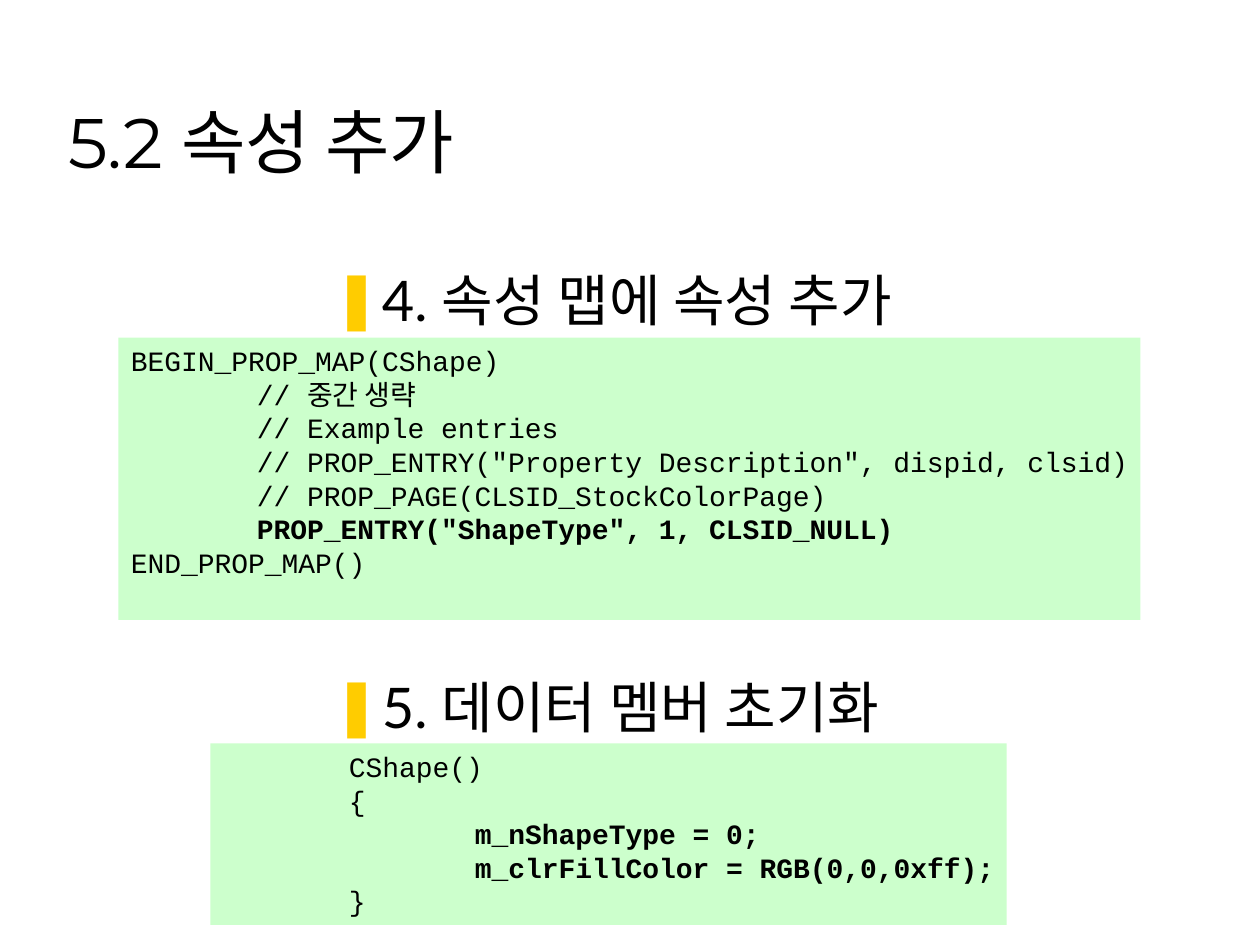
import pptx
import pptx.dml.color
import pptx.enum.shapes
import pptx.enum.text
import pptx.oxml.ns
import pptx.util
from lxml import etree
from pptx.util import Inches

BLACK = pptx.dml.color.RGBColor(0x00, 0x00, 0x00)
CODE_GREEN = pptx.dml.color.RGBColor(0xCC, 0xFF, 0xCC)
BULLET_YELLOW = pptx.dml.color.RGBColor(0xFF, 0xCC, 0x00)

PROPERTY_MAP = [
    ("BEGIN_PROP_MAP(CShape)", False),
    ("\t// 중간 생략", False),
    ("\t// Example entries", False),
    ('\t// PROP_ENTRY("Property Description", dispid, clsid)', False),
    ("\t// PROP_PAGE(CLSID_StockColorPage)", False),
    ('\tPROP_ENTRY("ShapeType", 1, CLSID_NULL)', True),
    ("END_PROP_MAP()", False),
]
CONSTRUCTOR = [
    ("\tCShape()", False),
    ("\t{", False),
    ("\t\tm_nShapeType = 0;", True),
    ("\t\tm_clrFillColor = RGB(0,0,0xff);", True),
    ("\t}", False),
]


def place(shape, left, top, width, height):
    shape.left, shape.top = Inches(left), Inches(top)
    shape.width, shape.height = Inches(width), Inches(height)


def prepare_frame(shape, anchor, wrap=True):
    frame = shape.text_frame
    frame.auto_size = pptx.enum.text.MSO_AUTO_SIZE.NONE
    frame.vertical_anchor = anchor
    frame.word_wrap = wrap
    return frame


def add_child(parent, tag, **attributes):
    child = etree.SubElement(parent, pptx.oxml.ns.qn(tag))
    for name, value in attributes.items():
        child.set(name, str(value))
    return child


def add_bullet(paragraph, left, hanging):
    properties = paragraph._p.get_or_add_pPr()
    properties.set("marL", str(Inches(left)))
    properties.set("indent", str(-Inches(hanging)))
    color = add_child(properties, "a:buClr")
    add_child(color, "a:srgbClr", val=BULLET_YELLOW)
    add_child(properties, "a:buChar", char="❚")


def add_tabs(paragraph, count):
    tabs = add_child(paragraph._p.get_or_add_pPr(), "a:tabLst")
    for inch in range(1, count + 1):
        add_child(tabs, "a:tab", pos=Inches(inch), algn="l")


def add_text(paragraph, text, size, font_name, bold=False):
    paragraph.alignment = pptx.enum.text.PP_ALIGN.LEFT
    run = paragraph.add_run()
    run.text = text
    run.font.size = pptx.util.Pt(size)
    run.font.name = font_name
    run.font.bold = bold
    run.font.color.rgb = BLACK


def fill_title(title, text):
    place(title, 0.44, 0.25, 9.14, 1.25)
    frame = prepare_frame(title, pptx.enum.text.MSO_ANCHOR.BOTTOM)
    add_text(frame.paragraphs[0], text, 40, "Montserrat")


def fill_steps(body, steps, gap):
    place(body, 0.5, 2.06, 8.94, 4.56)
    frame = prepare_frame(body, pptx.enum.text.MSO_ANCHOR.TOP)
    for index, step in enumerate(steps):
        paragraph = frame.add_paragraph() if index else frame.paragraphs[0]
        add_bullet(paragraph, left=2.43, hanging=0.38)
        paragraph.space_before = pptx.util.Pt(gap if index else 0)
        add_text(paragraph, step, 32, "Lato")


def add_code_box(slide, left, top, width, height, lines):
    box = slide.shapes.add_shape(
        pptx.enum.shapes.MSO_SHAPE.RECTANGLE,
        Inches(left), Inches(top), Inches(width), Inches(height))
    box.shadow.inherit = False
    box.fill.solid()
    box.fill.fore_color.rgb = CODE_GREEN
    box.line.fill.background()
    frame = prepare_frame(box, pptx.enum.text.MSO_ANCHOR.TOP, wrap=False)
    for index, (text, bold) in enumerate(lines):
        paragraph = frame.add_paragraph() if index else frame.paragraphs[0]
        add_tabs(paragraph, 7)
        add_text(paragraph, text, 16, "Courier New", bold)


def main():
    presentation = pptx.Presentation()
    presentation.slide_width = Inches(10)
    presentation.slide_height = Inches(7.5)
    slide = presentation.slides.add_slide(presentation.slide_layouts[1])

    # Title and numbered steps
    fill_title(slide.shapes.title, "5.2 속성 추가")
    fill_steps(slide.placeholders[1],
               ["4. 속성 맵에 속성 추가", "5. 데이터 멤버 초기화"], gap=194)

    # Code under each step
    add_code_box(slide, 0.94, 2.68, 8.11, 2.24, PROPERTY_MAP)
    add_code_box(slide, 1.67, 5.9, 6.32, 1.44, CONSTRUCTOR)

    presentation.save("out.pptx")


if __name__ == "__main__":
    main()
